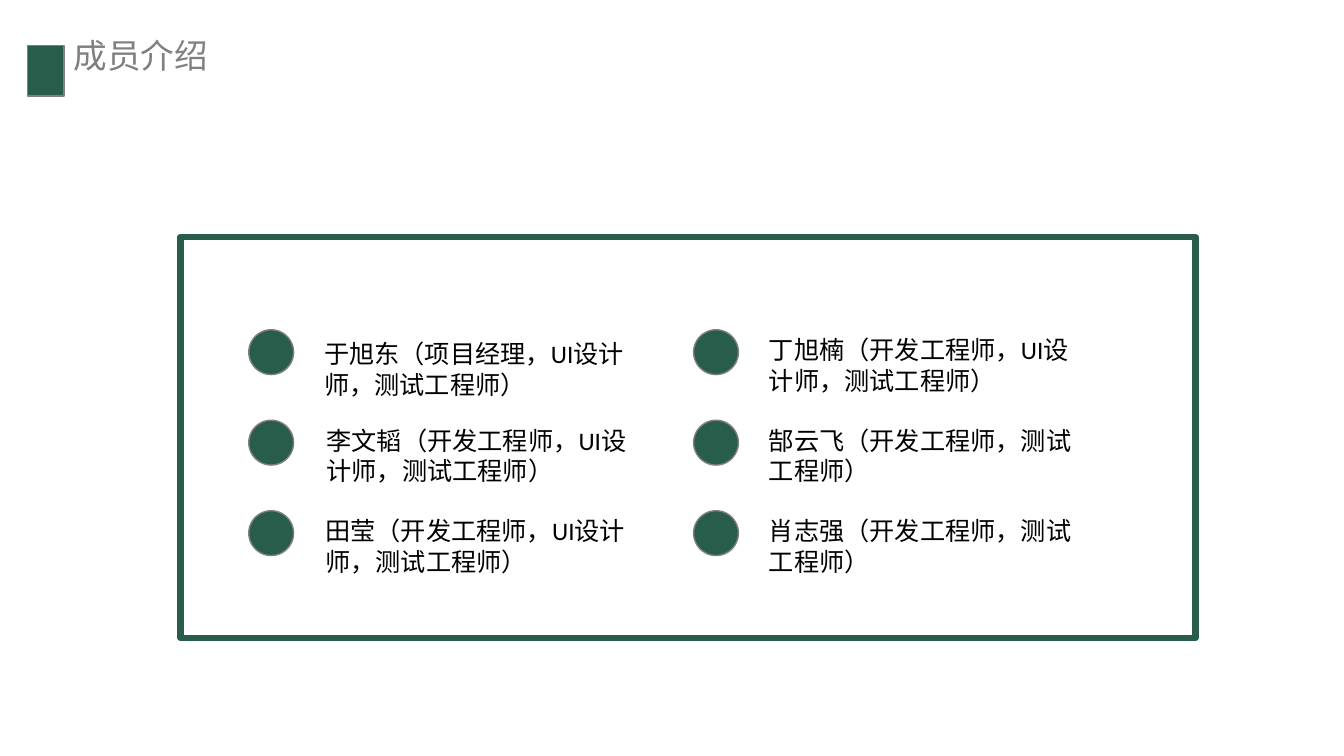
import pptx
import pptx.util
import pptx.dml.color
import pptx.enum.shapes
import pptx.enum.text
import pptx.oxml.ns
import lxml.etree

Cm = pptx.util.Cm
Pt = pptx.util.Pt
RGBColor = pptx.dml.color.RGBColor
SHAPE = pptx.enum.shapes.MSO_SHAPE
ALIGN = pptx.enum.text.PP_ALIGN

GREEN = RGBColor(0x28, 0x5D, 0x4C)
GRAY = RGBColor(0x80, 0x80, 0x80)
BLACK = RGBColor(0, 0, 0)
CJK_FONT = "Noto Sans CJK SC"

# Two columns of three members: text, then the label's shift in cm
MEMBERS = [
    [("于旭东（项目经理，UI设计师，测试工程师）", 0, 0.1),
     ("李文韬（开发工程师，UI设计师，测试工程师）", 0.06, 0),
     ("田莹（开发工程师，UI设计师，测试工程师）", 0.03, 0)],
    [("丁旭楠（开发工程师，UI设计师，测试工程师）", 0, 0),
     ("郜云飞（开发工程师，测试工程师）", 0, 0),
     ("肖志强（开发工程师，测试工程师）", 0, 0)],
]
GRID_LEFT, GRID_TOP = 6.27, 8.31
COLUMN_STEP, ROW_STEP = 11.21, 2.28
DOT_SIZE, LABEL_OFFSET = 1.13, 1.65


def place(sp, left, top, width, height):
    sp.left, sp.top, sp.width, sp.height = Cm(left), Cm(top), Cm(width), Cm(height)


def write(sp, text, size=18, font="Calibri", color=BLACK, align=ALIGN.LEFT):
    tf = sp.text_frame
    tf.word_wrap = True
    tf.auto_size = pptx.enum.text.MSO_AUTO_SIZE.SHAPE_TO_FIT_TEXT
    tf.vertical_anchor = pptx.enum.text.MSO_ANCHOR.TOP
    p = tf.paragraphs[0]
    p.alignment = align
    r = p.add_run()
    r.text = text
    r.font.size = Pt(size)
    r.font.name = font
    r.font.color.rgb = color
    ea = lxml.etree.SubElement(r.font._element, pptx.oxml.ns.qn("a:ea"))
    ea.set("typeface", CJK_FONT)


def add_shape(s, kind, left, top, width, height, fill=None, line=GRAY, weight=1):
    sp = s.shapes.add_shape(kind, Cm(left), Cm(top), Cm(width), Cm(height))
    sp.shadow.inherit = False
    if fill is None:
        sp.fill.background()
    else:
        sp.fill.solid()
        sp.fill.fore_color.rgb = fill
    sp.line.color.rgb = line
    sp.line.width = Pt(weight)


def add_member(s, left, top, text, dx, dy):
    sp = s.shapes.add_textbox(Cm(left + LABEL_OFFSET + dx), Cm(top + dy), Cm(8.46), Cm(1.8))
    write(sp, text)
    add_shape(s, SHAPE.OVAL, left, top, DOT_SIZE, DOT_SIZE, fill=GREEN)


def main():
    prs = pptx.Presentation()
    prs.slide_width, prs.slide_height = Cm(33.87), Cm(19.05)
    s = prs.slides.add_slide(prs.slide_layouts[5])

    # Title with its marker
    title = s.shapes.title
    place(title, 1.6, 0.76, 8.79, 1.28)
    write(title, "成员介绍", size=24, font=CJK_FONT, color=GRAY, align=ALIGN.JUSTIFY)
    add_shape(s, SHAPE.RECTANGLE, 0.69, 1.14, 0.92, 1.28, fill=GREEN)

    # Frame around the members
    add_shape(s, SHAPE.RECTANGLE, 4.55, 5.97, 25.58, 10.11, line=GREEN, weight=4.5)

    # Member grid
    for col, members in enumerate(MEMBERS):
        for row, (text, dx, dy) in enumerate(members):
            add_member(s, GRID_LEFT + col * COLUMN_STEP, GRID_TOP + row * ROW_STEP, text, dx, dy)

    prs.save("out.pptx")


if __name__ == "__main__":
    main()
